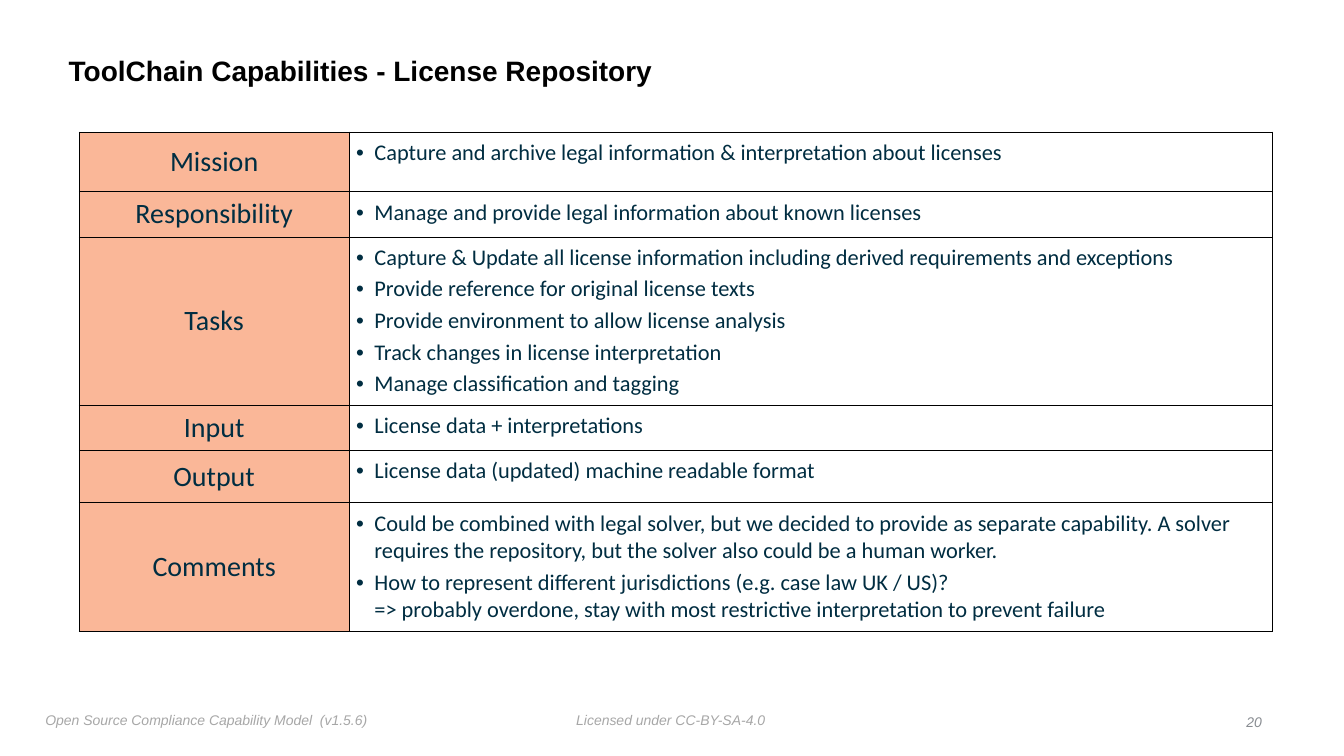
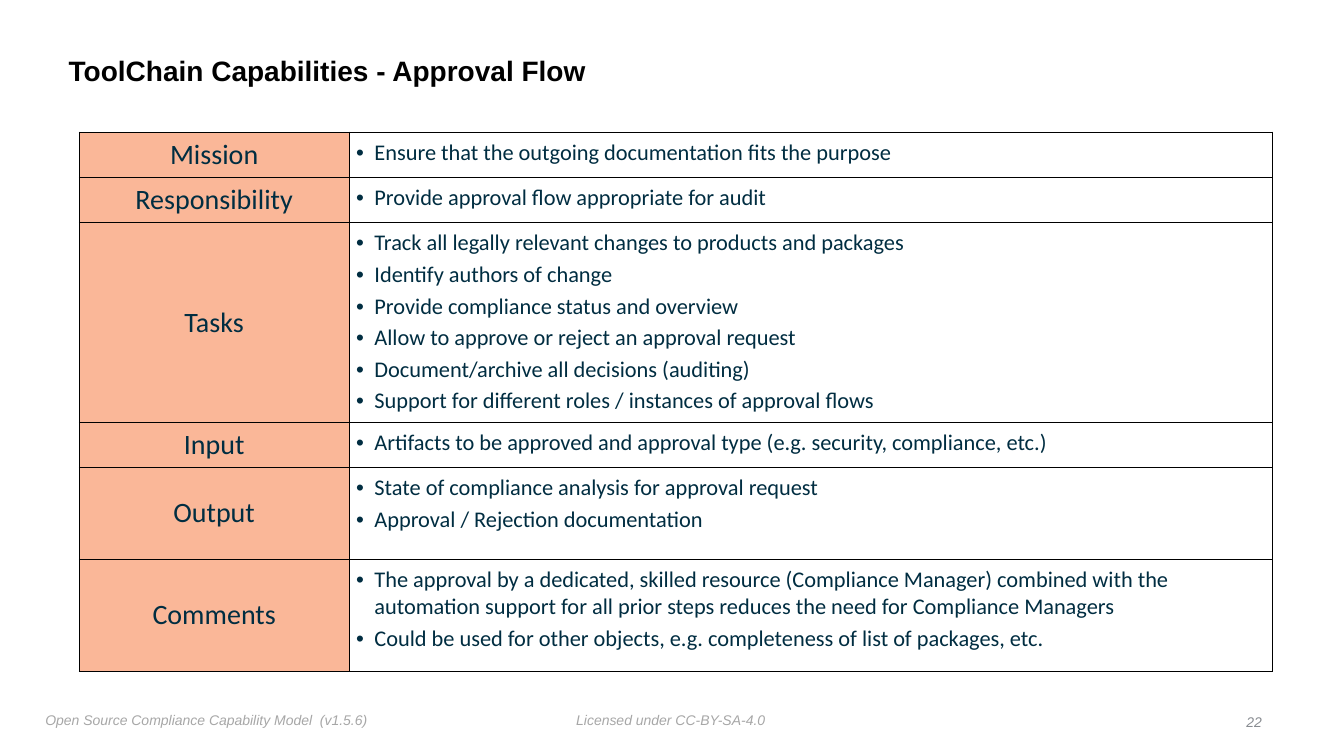
from dataclasses import dataclass

from lxml.etree import SubElement
from pptx import Presentation
from pptx.dml.color import RGBColor
from pptx.enum.text import MSO_ANCHOR as Anchor, MSO_AUTO_SIZE as AutoSize, PP_ALIGN as Align
from pptx.oxml.ns import qn
from pptx.slide import Slide
from pptx.table import _Cell as Cell
from pptx.text.text import TextFrame, _Paragraph as Paragraph
from pptx.util import Pt

COLORS = {
    "title": "000000",
    "border": "000000",
    "text": "002D41",
    "label": "FAB798",
    "body": "FFFFFF",
    "footer": "A7A7A7",
    "number": "888C91",
}
LABELS = ["Mission", "Responsibility", "Tasks", "Input", "Output", "Comments"]
TABLE_LEFT, TABLE_TOP = 56.5, 94.2
COL_WIDTHS = [193, 659.5]
BULLET_INDENT = 13


@dataclass
class Footer:
    text: str
    left: float
    top: float
    width: float
    height: float
    color: str = "footer"
    align: Align = Align.LEFT


@dataclass
class Capability:
    name: str
    number: int
    heights: list[float]
    bullets: list[list[str]]


FOOTERS = [
    Footer("Open Source Compliance Capability Model  (v1.5.6)", 28.8, 504.8, 239, 19),
    Footer("Licensed under CC-BY-SA-4.0", 408, 504.8, 143.5, 19),
]

CAPABILITIES = [
    Capability("License Repository", 20, [42.8, 32.3, 120, 32.3, 37.6, 91.5], [
        ["Capture and archive legal information & interpretation about licenses"],
        ["Manage and provide legal information about known licenses"],
        [
            "Capture & Update all license information including derived requirements and exceptions",
            "Provide reference for original license texts",
            "Provide environment to allow license analysis",
            "Track changes in license interpretation",
            "Manage classification and tagging",
        ],
        ["License data + interpretations"],
        ["License data (updated) machine readable format"],
        [
            "Could be combined with legal solver, but we decided to provide as separate capability. "
            "A solver requires the repository, but the solver also could be a human worker.",
            "How to represent different jurisdictions (e.g. case law UK / US)?\v"
            "=> probably overdone, stay with most restrictive interpretation to prevent failure",
        ],
    ]),
    Capability("Approval Flow", 22, [32.5, 32.3, 142.8, 32.3, 65.3, 80], [
        ["Ensure that the outgoing documentation fits the purpose"],
        ["Provide approval flow appropriate for audit"],
        [
            "Track all legally relevant changes to products and packages",
            "Identify authors of change",
            "Provide compliance status and overview",
            "Allow to approve or reject an approval request",
            "Document/archive all decisions (auditing)",
            "Support for different roles / instances of approval flows",
        ],
        ["Artifacts to be approved and approval type (e.g. security, compliance, etc.)"],
        ["State of compliance analysis for approval request", "Approval / Rejection documentation"],
        [
            "The approval by a dedicated, skilled resource (Compliance Manager) combined with the "
            "automation support for all prior steps reduces the need for Compliance Managers",
            "Could be used for other objects, e.g. completeness of list of packages, etc.",
        ],
    ]),
]


# Text helpers
def format_runs(p: Paragraph, font: str, size: float, color: str,
                bold: bool = False, italic: bool = False) -> None:
    for r in p.runs:
        r.font.name, r.font.size = font, Pt(size)
        r.font.bold, r.font.italic = bold, italic
        r.font.color.rgb = RGBColor.from_string(COLORS[color])
    for br in p._p.findall(qn("a:br")):
        SubElement(br, qn("a:rPr"), sz=str(int(size * 100)))


def set_margins(target: TextFrame | Cell, margin: float) -> None:
    target.margin_left = target.margin_right = Pt(margin)
    target.margin_top = target.margin_bottom = Pt(margin)


def add_bullet(p: Paragraph) -> None:
    pPr = p._p.get_or_add_pPr()
    pPr.set("marL", str(Pt(BULLET_INDENT)))
    pPr.set("indent", str(-Pt(BULLET_INDENT)))
    SubElement(pPr, qn("a:buFont"), typeface="Arial")
    SubElement(pPr, qn("a:buChar"), char="•")


# Title and footers
def set_title(slide: Slide, text: str) -> None:
    sp = slide.shapes.title
    sp.left, sp.top, sp.width, sp.height = Pt(45.4), Pt(28), Pt(774), Pt(46.8)
    tf = sp.text_frame
    tf.text = text
    tf.auto_size, tf.word_wrap = AutoSize.NONE, True
    tf.vertical_anchor = Anchor.MIDDLE
    set_margins(tf, 3.6)
    p = tf.paragraphs[0]
    p.alignment, p.line_spacing = Align.LEFT, 0.9
    format_runs(p, "Arial", 20, "title", bold=True)


def add_footer(slide: Slide, footer: Footer) -> None:
    sp = slide.shapes.add_textbox(Pt(footer.left), Pt(footer.top), Pt(footer.width), Pt(footer.height))
    tf = sp.text_frame
    tf.text = footer.text
    tf.word_wrap = False
    set_margins(tf, 3.6)
    p = tf.paragraphs[0]
    p.alignment = footer.align
    format_runs(p, "Arial", 10, footer.color, italic=True)


# Table
def style_cell(cell: Cell, fill: str) -> None:
    tcPr = cell._tc.get_or_add_tcPr()
    for side in ("a:lnL", "a:lnR", "a:lnT", "a:lnB"):
        ln = SubElement(tcPr, qn(side), w=str(Pt(0.5)))
        SubElement(SubElement(ln, qn("a:solidFill")), qn("a:srgbClr"), val=COLORS["border"])
    cell.fill.solid()
    cell.fill.fore_color.rgb = RGBColor.from_string(COLORS[fill])


def fill_label(cell: Cell, text: str) -> None:
    style_cell(cell, "label")
    set_margins(cell, 0)
    cell.vertical_anchor = Anchor.MIDDLE
    cell.text_frame.text = text
    p = cell.text_frame.paragraphs[0]
    p.alignment = Align.CENTER
    format_runs(p, "Calibri", 20, "text")


def fill_bullets(cell: Cell, bullets: list[str]) -> None:
    style_cell(cell, "body")
    set_margins(cell, 5)
    cell.text_frame.text = "\n".join(bullets)
    for p in cell.text_frame.paragraphs:
        p.space_before = Pt(3)
        add_bullet(p)
        format_runs(p, "Calibri", 16, "text")


def add_capability_table(slide: Slide, capability: Capability) -> None:
    table = slide.shapes.add_table(
        len(LABELS), len(COL_WIDTHS), Pt(TABLE_LEFT), Pt(TABLE_TOP),
        Pt(sum(COL_WIDTHS)), Pt(sum(capability.heights))).table
    table.first_row = table.horz_banding = False
    for column, width in zip(table.columns, COL_WIDTHS):
        column.width = Pt(width)
    for row, height, label, bullets in zip(table.rows, capability.heights, LABELS, capability.bullets):
        row.height = Pt(height)
        fill_label(row.cells[0], label)
        fill_bullets(row.cells[1], bullets)


def main() -> None:
    prs = Presentation()
    prs.slide_width, prs.slide_height = Pt(960), Pt(540)
    for capability in CAPABILITIES:
        slide = prs.slides.add_slide(prs.slide_layouts.get_by_name("Title Only"))
        set_title(slide, f"ToolChain Capabilities - {capability.name}")
        add_capability_table(slide, capability)
        number = Footer(str(capability.number), 885.6, 506, 19.4, 18, "number", Align.RIGHT)
        for footer in [*FOOTERS, number]:
            add_footer(slide, footer)
    prs.save("out.pptx")


if __name__ == "__main__":
    main()
